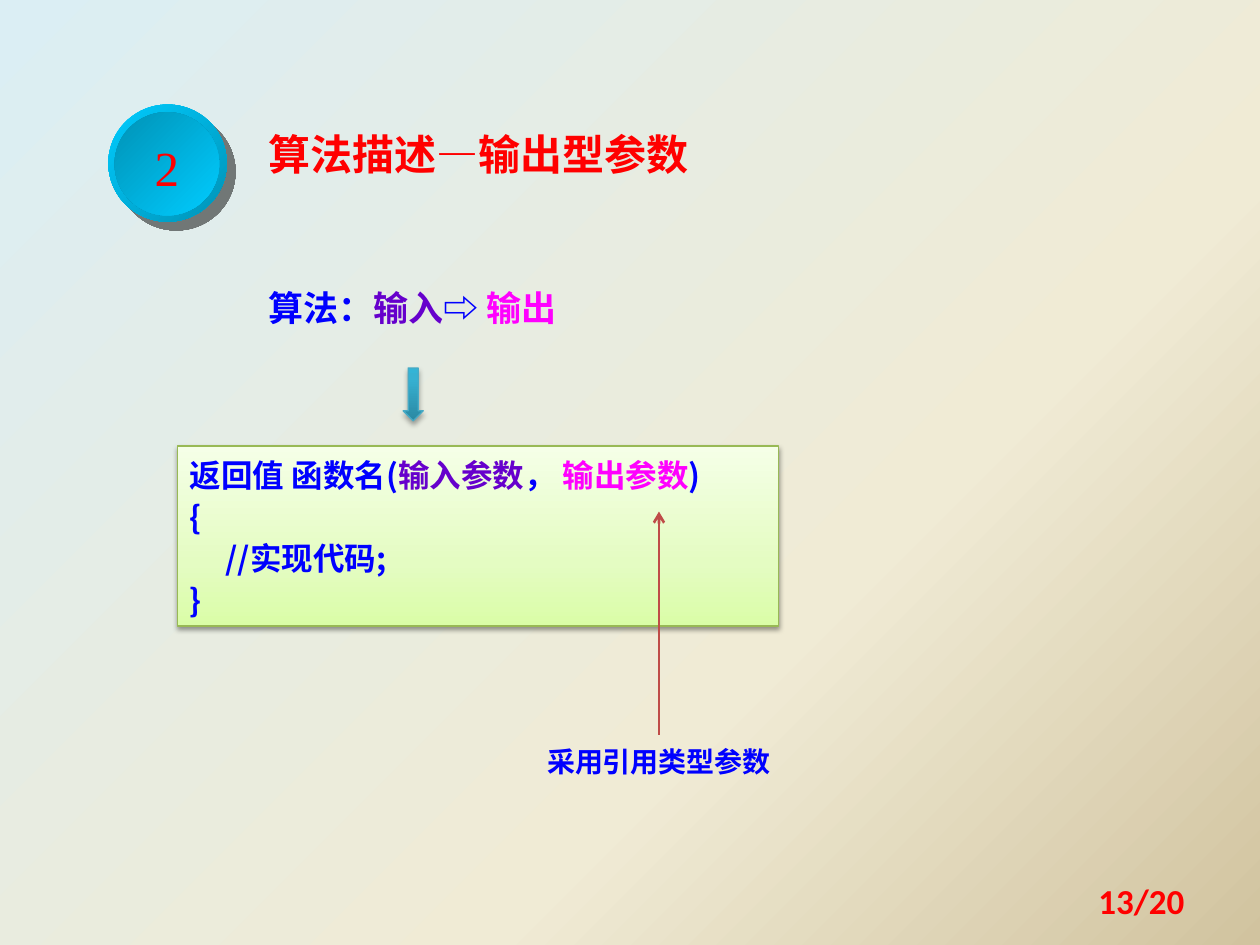
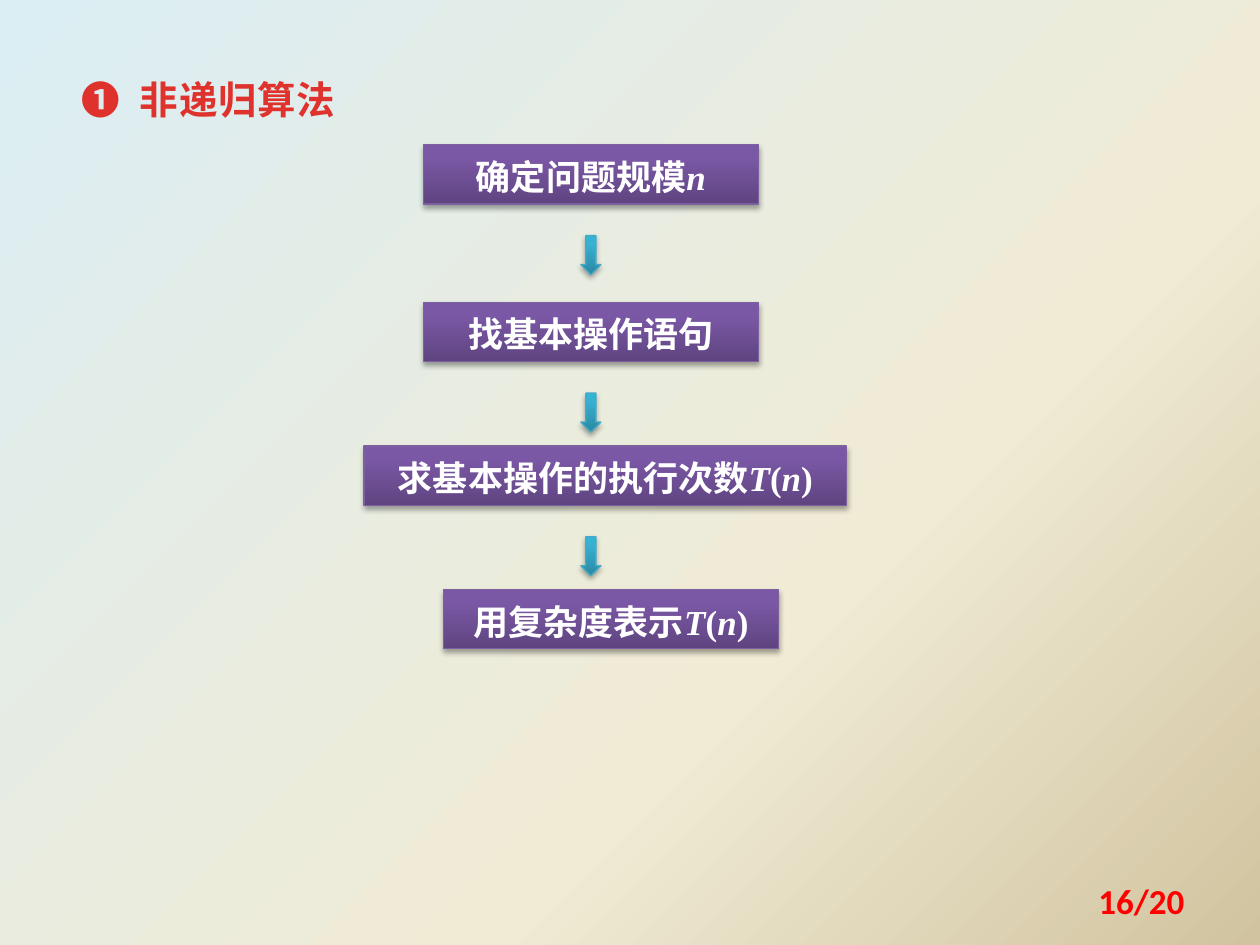
from lxml.etree import SubElement
from pptx import Presentation
from pptx.dml.color import RGBColor
from pptx.enum.shapes import MSO_CONNECTOR as Connector, MSO_SHAPE as Preset
from pptx.enum.text import MSO_ANCHOR as Anchor, MSO_AUTO_SIZE as AutoSize, PP_ALIGN as Align
from pptx.oxml.ns import qn
from pptx.util import Inches, Pt

CJK, SERIF, SANS = "Noto Sans CJK SC", "Times New Roman", "Calibri"
RED, BLUE, VIOLET, MAGENTA, WHITE = "FF0000", "0000FF", "6600CC", "FF00FF", "FFFFFF"

BACKGROUND = [(0, "DBEEF4"), (65, "F0EBD5"), (100, "D1C39F")]
ARROW_FILL = [(0, "2A88A2"), (80, "37B1D2"), (100, "34B4D6")]
STEP_FILL = [(0, "5F4480"), (80, "7B58A6"), (100, "7C57A8")]
CODE_FILL = [(0, "DAFDA7"), (35, "E4FCC2"), (100, "F5FFE7")]
HEADING_FILL = [(25, "E0322D"), (100, "A2201C")]
BADGE_RIM = [(0, "00CCFF"), (100, "0092B6")]
BADGE_FACE = [(0, "0092B6"), (100, "00CCFF")]
SOFT_SHADOW = ("000000", 35, 3.1, 1.8, 90)
BADGE_SHADOW = ("020202", 50, 0, 7.1, 45)


def color(hex_string):
    return RGBColor.from_string(hex_string)


def inches(box):
    return [Inches(length) for length in box]


def add_color(parent, hex_string):
    return SubElement(parent, qn("a:srgbClr"), val=hex_string)


def paint_gradient(fill, owner, stops, angle):
    fill.gradient()
    gradient = next(owner.iter(qn("a:gradFill")))
    for child in list(gradient):
        gradient.remove(child)
    stop_list = SubElement(gradient, qn("a:gsLst"))
    for position, hex_string in stops:
        add_color(SubElement(stop_list, qn("a:gs"), pos=str(position * 1000)), hex_string)
    SubElement(gradient, qn("a:lin"), ang=str(angle * 60000), scaled="0")


def add_shadow(shape, hex_string, opacity, blur, distance, angle):
    effects = shape._element.spPr.find(qn("a:effectLst"))
    outer = SubElement(effects, qn("a:outerShdw"), blurRad=str(Pt(blur)),
                       dist=str(Pt(distance)), dir=str(angle * 60000),
                       algn="ctr", rotWithShape="0")
    SubElement(add_color(outer, hex_string), qn("a:alpha"), val=str(opacity * 1000))


def add_gradient_shape(slide, preset, box, stops, angle=270, line=None, shadow=None):
    shape = slide.shapes.add_shape(preset, *inches(box))
    paint_gradient(shape.fill, shape._element.spPr, stops, angle)
    if line:
        shape.line.color.rgb = color(line)
        shape.line.width = Pt(0.75)
    else:
        shape.line.fill.background()
    shape.shadow.inherit = False
    if shadow:
        add_shadow(shape, *shadow)
    return shape


def write(shape, paragraphs, size, hex_string, font=CJK, bold=True, align=Align.LEFT,
          anchor=Anchor.TOP, spacing=1.1, wrap=True):
    frame = shape.text_frame
    frame.auto_size = AutoSize.NONE
    frame.word_wrap = wrap
    frame.vertical_anchor = anchor
    for index, pieces in enumerate(paragraphs):
        paragraph = frame.add_paragraph() if index else frame.paragraphs[0]
        paragraph.alignment = align
        paragraph.line_spacing = spacing
        for text, style in pieces:
            run = paragraph.add_run()
            run.text = text
            run.font.name = font
            SubElement(run._r.get_or_add_rPr(), qn("a:ea"), typeface=CJK)
            run.font.size = Pt(size)
            run.font.bold = bold
            run.font.italic = style == "italic"
            run.font.color.rgb = color(hex_string if style in ("", "italic") else style)


def add_text(slide, box, paragraphs, size, hex_string, **options):
    write(slide.shapes.add_textbox(*inches(box)), paragraphs, size, hex_string, **options)


def place_title(slide, box, text, size, hex_string):
    title = slide.shapes.title
    title.left, title.top, title.width, title.height = inches(box)
    write(title, [[(text, "")]], size, hex_string)
    return title


def add_page_number(slide, text):
    add_text(slide, (7.17, 6.95, 2.33, 0.4), [[(text, "")]], 20, RED, font=SANS,
             align=Align.RIGHT, anchor=Anchor.MIDDLE, spacing=1.0)


def add_down_arrow(slide, left, top, height):
    add_gradient_shape(slide, Preset.DOWN_ARROW, (left, top, 0.16, height),
                       ARROW_FILL, line="46AAC5", shadow=SOFT_SHADOW)


def add_badge(slide, box, number):
    left, top, width, height = box
    add_gradient_shape(slide, Preset.OVAL, box, BADGE_RIM, 45, shadow=BADGE_SHADOW)
    inner = (left + 0.05, top + 0.06, width - 0.11, height - 0.11)
    face = add_gradient_shape(slide, Preset.OVAL, inner, BADGE_FACE, 45)
    write(face, [[(number, "")]], 28, RED, font=SERIF, bold=False,
          align=Align.CENTER, anchor=Anchor.MIDDLE, wrap=False)


def add_code_panel(slide, box):
    panel = add_gradient_shape(slide, Preset.RECTANGLE, box, CODE_FILL,
                               line="98B955", shadow=("000000", 38, 3.1, 1.6, 90))
    signature = [("返回值 函数名(", ""), ("输入参数", VIOLET), ("， ", ""),
                 ("输出参数", MAGENTA), (")", "")]
    body = [[(line, "")] for line in ("{", "     //实现代码;", "}")]
    write(panel, [signature] + body, 18, BLUE)


def add_callout(slide, box, text, rise):
    left, top, width, height = box
    add_text(slide, box, [[(text, "")]], 16, BLUE, align=Align.CENTER)
    middle = left + width / 2
    pointer = slide.shapes.add_connector(
        Connector.STRAIGHT, *inches((middle, top, middle, top - rise)))
    pointer.line.color.rgb = color("BF4C48")
    pointer.line.width = Pt(1.5)
    SubElement(pointer.line._get_or_add_ln(), qn("a:tailEnd"), type="arrow")
    SubElement(pointer._element.spPr, qn("a:effectLst"))


def add_step(slide, box, text, formula):
    step = add_gradient_shape(slide, Preset.RECTANGLE, box, STEP_FILL,
                              line="7D60A0", shadow=SOFT_SHADOW)
    symbols = [(symbol, "italic" if symbol.isalpha() else "") for symbol in formula]
    write(step, [[(text, "")] + symbols], 20, WHITE, font=SERIF, align=Align.CENTER)


def add_steps(slide, box, steps):
    left, top, width, height = box
    for index, (shift, drop, extra, text, formula) in enumerate(steps):
        add_step(slide, (left + shift, top + drop, width + extra, height), text, formula)
        if index < len(steps) - 1:
            add_down_arrow(slide, left + 1.25, top + drop + 0.72, 0.31)


def build_output_parameters(slide):
    add_badge(slide, (0.86, 0.83, 0.94, 0.93), "2")
    place_title(slide, (2.03, 0.93, 3.91, 0.55), "算法描述―输出型参数", 24, RED)
    add_text(slide, (2.03, 2.19, 2.81, 0.47),
             [[("算法：", ""), ("输入", VIOLET), ("⇨ ", ""), ("输出", MAGENTA)]], 20, BLUE)
    add_down_arrow(slide, 3.2, 2.92, 0.42)
    add_code_panel(slide, (1.41, 3.54, 4.77, 1.43))
    add_callout(slide, (4.06, 5.83, 2.34, 0.4), "采用引用类型参数", 1.77)
    add_page_number(slide, "13/20")


def build_nonrecursive_analysis(slide):
    title = place_title(slide, (0.55, 0.52, 2.5, 0.51), "❶\t非递归算法", 22, "E0322D")
    paragraph = title.text_frame.paragraphs[0]
    properties = paragraph._p.get_or_add_pPr()
    properties.set("marL", str(Inches(0.46)))
    properties.set("indent", str(Inches(-0.46)))
    for run in paragraph.runs:
        paint_gradient(run.font.fill, run._r, HEADING_FILL, 90)
        run._r.get_or_add_rPr().set("spc", "50")
    add_steps(slide, (3.36, 1.15, 2.66, 0.47), [
        (0, 0, 0, "确定问题规模", "n"),
        (0, 1.25, 0, "找基本操作语句", ""),
        (-0.47, 2.39, 1.17, "求基本操作的执行次数", "T(n)"),
        (0.16, 3.53, 0, "用复杂度表示", "T(n)"),
    ])
    add_page_number(slide, "16/20")


def main():
    presentation = Presentation()
    presentation.slide_width, presentation.slide_height = Inches(10), Inches(7.5)
    master = presentation.slide_master
    paint_gradient(master.background.fill, master._element, BACKGROUND, 45)
    title_only = presentation.slide_layouts[5]
    for build in (build_output_parameters, build_nonrecursive_analysis):
        build(presentation.slides.add_slide(title_only))
    presentation.save("out.pptx")


if __name__ == "__main__":
    main()
